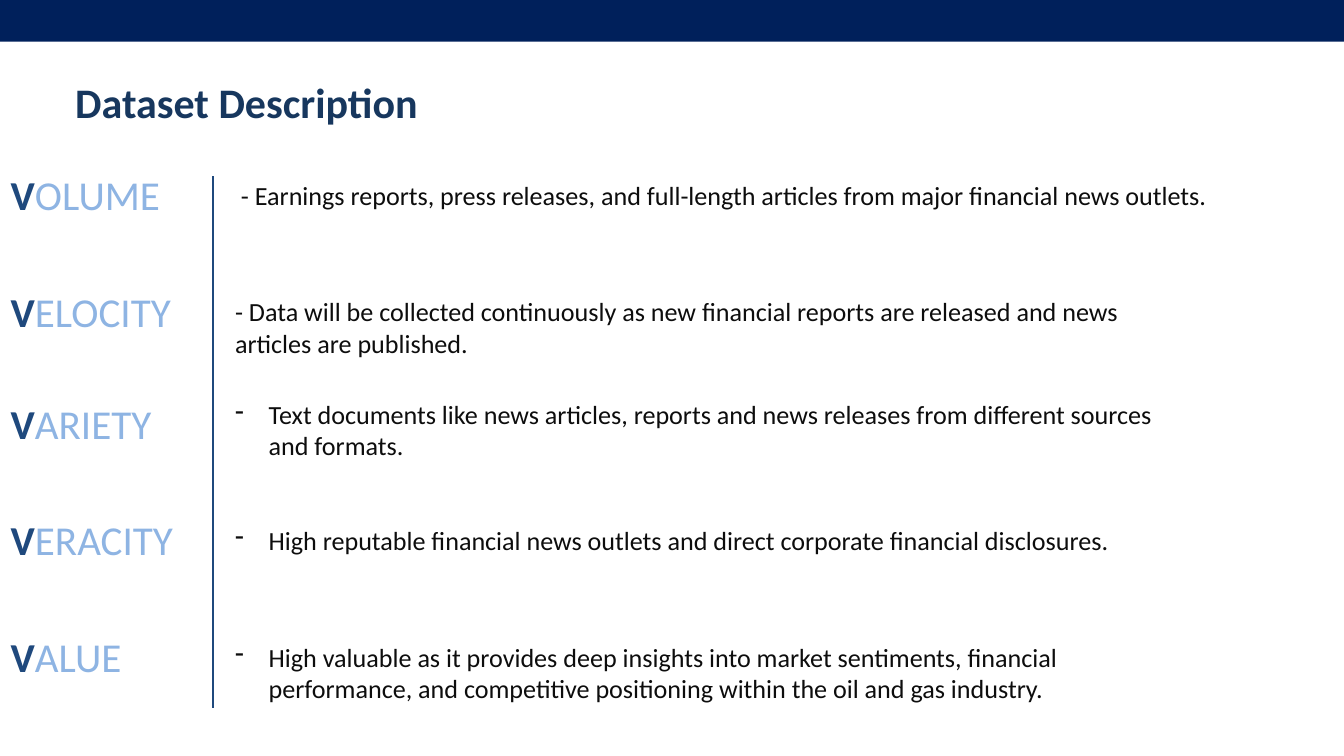
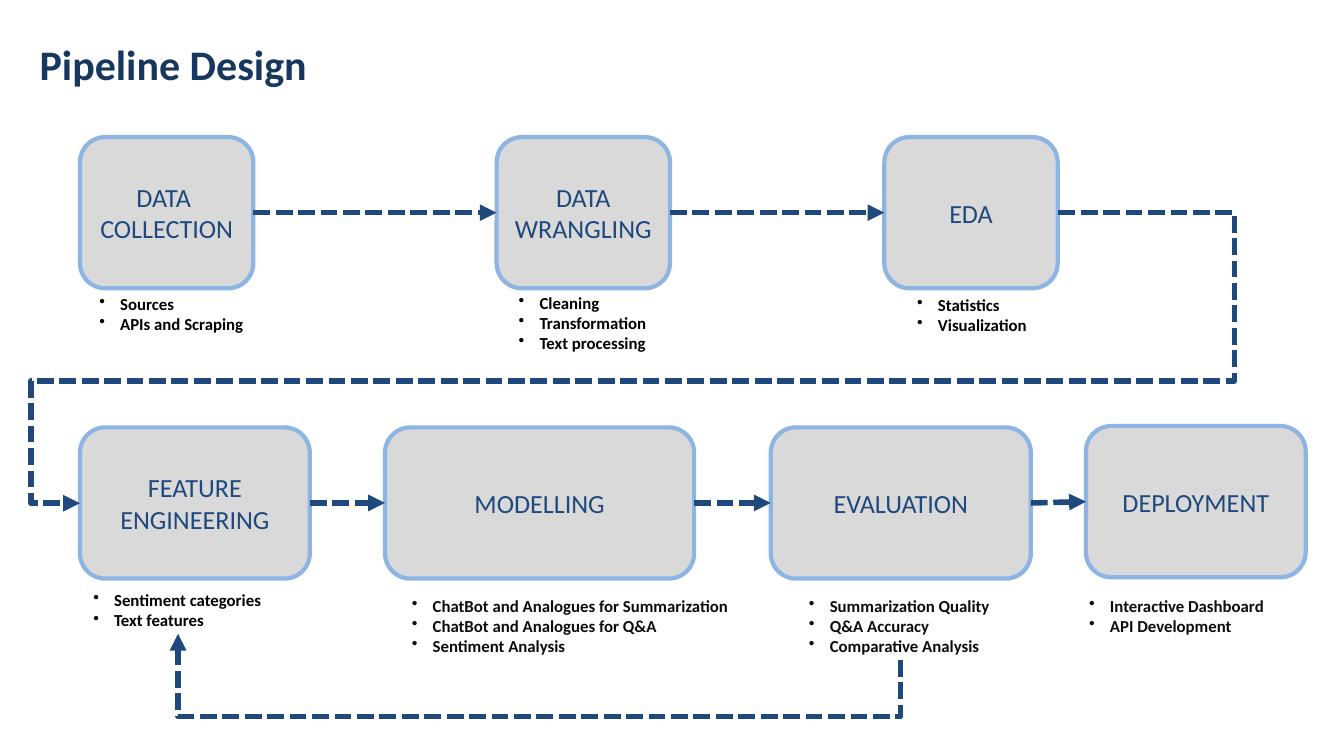
from lxml import etree
from pptx import Presentation
from pptx.dml.color import RGBColor
from pptx.enum.dml import MSO_LINE
from pptx.enum.shapes import MSO_CONNECTOR, MSO_SHAPE
from pptx.enum.text import MSO_ANCHOR, MSO_AUTO_SIZE, PP_ALIGN
from pptx.oxml.ns import qn
from pptx.util import Inches, Pt

STRAIGHT, ELBOW = MSO_CONNECTOR.STRAIGHT, MSO_CONNECTOR.ELBOW
RECT, ROUND_RECT = MSO_SHAPE.RECTANGLE, MSO_SHAPE.ROUNDED_RECTANGLE
DASH = MSO_LINE.SQUARE_DOT
CENTER, MIDDLE, GROW = PP_ALIGN.CENTER, MSO_ANCHOR.MIDDLE, MSO_AUTO_SIZE.SHAPE_TO_FIT_TEXT
LEFT_SITE, RIGHT_SITE = 1, 3

BAND, TITLE, NAVY, SKY = "00205B", "17375E", "1F497D", "8EB4E3"
GREY, INK, BLACK = "D9D9D9", "0D0D0D", "000000"

TITLE_FONT = {"size": Pt(45), "bold": True}
INITIAL_FONT = {"size": Pt(44), "bold": True}
WORD_FONT = {"size": Pt(44), "bold": False}
BODY_FONT = {"size": Pt(28)}
NOTE_FONT = {"size": Pt(18), "bold": True}

ROWS = [
    ("VOLUME", 2.48, 2.45, 0.14, 15.14, 0.57, "",
     " - Earnings reports, press releases, and full-length articles from major financial news outlets."),
    ("VELOCITY", 4.21, 2.65, 0.14, 14.42, 1.04, "",
     "- Data will be collected continuously as new financial reports are released and news articles are published."),
    ("VARIETY", 5.88, 2.32, 0, 14.42, 1.04, "-",
     "Text documents like news articles, reports and news releases from different sources and formats."),
    ("VERACITY", 7.61, 2.64, 0.14, 14.42, 0.57, "-",
     "High reputable financial news outlets and direct corporate financial disclosures."),
    ("VALUE", 9.35, 1.87, 0.14, 14.42, 1.04, "-",
     "High valuable as it provides deep insights into market sentiments, financial performance, "
     "and competitive positioning within the oil and gas industry."),
]

TOP_STAGES = [
    ("DATA \nCOLLECTION", 1.19, 2.04, 2.58, (0.19, 2.28, 2.36), BLACK, ["Sources", "APIs and Scraping"]),
    ("DATA WRANGLING", 7.39, 2.04, 2.58, (0.23, 2.26, 2.12), BLACK,
     ["Cleaning", "Transformation", "Text processing"]),
    ("EDA", 13.16, 2.04, 2.58, (0.39, 2.29, 1.85), BLACK, ["Statistics", "Visualization"]),
]
BOTTOM_STAGES = [
    ("FEATURE ENGINEERING", 1.19, 6.36, 3.42, (0.1, 2.37, 2.72), BLACK,
     ["Sentiment categories", "Text features"]),
    ("MODELLING", 5.73, 6.36, 4.6, (0.3, 2.45, 5.01), INK,
     ["ChatBot and Analogues for Summarization", "ChatBot and Analogues for Q&A", "Sentiment Analysis"]),
    ("EVALUATION", 11.47, 6.36, 3.87, (0.47, 2.45, 2.92), INK,
     ["Summarization Quality", "Q&A Accuracy", "Comparative Analysis"]),
    ("DEPLOYMENT", 16.16, 6.34, 3.27, (-0.05, 2.47, 2.83), INK,
     ["Interactive Dashboard", "API Development"]),
]


def rgb(value):
    """Turn a hex string into a colour."""
    return RGBColor.from_string(value)


def add_run(p, text, color, fmt):
    """Append a run with the given format to a paragraph."""
    r = p.add_run()
    r.text = text
    r.font.name = "Calibri"
    r.font.color.rgb = rgb(color)
    for name, value in fmt.items():
        setattr(r.font, name, value)


def add_bullet(p, char, indent):
    """Give a paragraph a hanging bullet."""
    pPr = p._p.get_or_add_pPr()
    pPr.set("marL", str(Inches(indent)))
    pPr.set("indent", str(-Inches(indent)))
    etree.SubElement(pPr, qn("a:buChar")).set("char", char)


def add_box(s, x, y, w, h, wrap=True):
    """Add a text box that grows with its text and return its frame."""
    tf = s.shapes.add_textbox(Inches(x), Inches(y), Inches(w), Inches(h)).text_frame
    tf.word_wrap = wrap
    tf.auto_size = GROW
    return tf


def add_title(s, x, y, text):
    """Add the slide title."""
    tf = add_box(s, x, y, 11.23, 0.72)
    for side in ("left", "top", "right", "bottom"):
        setattr(tf, f"margin_{side}", 0)
    p = tf.paragraphs[0]
    p.line_spacing = Pt(52.2)
    add_run(p, text, TITLE, TITLE_FONT)


def add_line(s, kind, x1, y1, x2, y2, width):
    """Add a navy connector without a shadow."""
    c = s.shapes.add_connector(kind, Inches(x1), Inches(y1), Inches(x2), Inches(y2))
    c.line.color.rgb = rgb(NAVY)
    c.line.width = Pt(width)
    etree.SubElement(c._element.spPr, qn("a:effectLst"))
    return c


def add_arrow(s, kind, x1, y1, x2, y2):
    """Add a dashed connector with an arrowhead at its end."""
    c = add_line(s, kind, x1, y1, x2, y2, 6)
    c.line.dash_style = DASH
    etree.SubElement(c.line._get_or_add_ln(), qn("a:tailEnd")).set("type", "triangle")
    return c


def bend(c, preset, adjustments, rotation=0):
    """Set the route of an elbow connector."""
    spPr = c._element.spPr
    spPr.find(qn("a:xfrm")).set("rot", str(rotation * 60000))
    geom = spPr.find(qn("a:prstGeom"))
    geom.set("prst", preset)
    guides = geom.find(qn("a:avLst"))
    if guides is None:
        guides = etree.SubElement(geom, qn("a:avLst"))
    for i, value in enumerate(adjustments, 1):
        gd = etree.SubElement(guides, qn("a:gd"))
        gd.set("name", f"adj{i}")
        gd.set("fmla", f"val {round(value * 100000)}")


def add_row(s, x, y, word, word_w, drop, text_w, text_h, bullet, text):
    """Add one V word and its description."""
    p = add_box(s, x, y, word_w, 0.84, wrap=False).paragraphs[0]
    add_run(p, word[0], NAVY, INITIAL_FONT)
    add_run(p, word[1:], SKY, WORD_FONT)
    p = add_box(s, x + 3.34, y + drop, text_w, text_h).paragraphs[0]
    if bullet:
        add_bullet(p, bullet, 0.5)
    add_run(p, text, INK, BODY_FONT)


def add_stage(s, x, y, w, name, notes_at, color, notes):
    """Add one pipeline stage with its notes below."""
    sp = s.shapes.add_shape(ROUND_RECT, Inches(x), Inches(y), Inches(w), Inches(2.25))
    sp.shadow.inherit = False
    sp.fill.solid()
    sp.fill.fore_color.rgb = rgb(GREY)
    sp.line.color.rgb = rgb(SKY)
    sp.line.width = Pt(4.5)
    tf = sp.text_frame
    tf.word_wrap = True
    tf.vertical_anchor = MIDDLE
    for i, line in enumerate(name.split("\n")):
        p = tf.add_paragraph() if i else tf.paragraphs[0]
        p.alignment = CENTER
        add_run(p, line, NAVY, BODY_FONT)
    dx, dy, notes_w = notes_at
    tf = add_box(s, x + dx, y + dy, notes_w, 0.1 + 0.3 * len(notes), wrap=False)
    for i, note in enumerate(notes):
        p = tf.add_paragraph() if i else tf.paragraphs[0]
        add_bullet(p, "•", 0.31)
        add_run(p, note, color, NOTE_FONT)
    return sp


def add_stage_row(s, stages):
    """Add a row of stages joined by arrows."""
    shapes = [add_stage(s, x, y, w, name, *rest) for name, x, y, w, *rest in stages]
    for left, right in zip(shapes, shapes[1:]):
        c = add_arrow(s, STRAIGHT, 0, 0, 1, 1)
        c.begin_connect(left, RIGHT_SITE)
        c.end_connect(right, LEFT_SITE)


def dataset_slide(prs):
    """Build the dataset description."""
    s = prs.slides.add_slide(prs.slide_layouts[6])
    band = s.shapes.add_shape(RECT, 0, 0, prs.slide_width, Inches(0.62))
    band.shadow.inherit = False
    band.fill.solid()
    band.fill.fore_color.rgb = rgb(BAND)
    band.line.fill.background()
    add_title(s, 1.12, 1.16, "Dataset Description")
    for word, y, *rest in ROWS:
        add_row(s, 0.06, y, word, *rest)
    add_line(s, STRAIGHT, 3.17, 2.62, 3.17, 10.53, 2.25)


def pipeline_slide(prs):
    """Build the pipeline diagram."""
    s = prs.slides.add_slide(prs.slide_layouts[6])
    add_title(s, 0.59, 0.6, "Pipeline Design")
    add_stage_row(s, TOP_STAGES)
    add_stage_row(s, BOTTOM_STAGES)
    to_next_row = add_arrow(s, ELBOW, 15.75, 3.16, 1.19, 7.49)
    bend(to_next_row, "bentConnector5", [-0.18, 0.58, 1.05])
    feedback = add_arrow(s, ELBOW, 8.22, 4.25, 7.83, 15)
    bend(feedback, "bentConnector3", [-2.16], rotation=90)


def main():
    """Build and save the presentation."""
    prs = Presentation()
    prs.slide_width, prs.slide_height = Inches(20), Inches(11.25)
    dataset_slide(prs)
    pipeline_slide(prs)
    prs.save("out.pptx")


if __name__ == "__main__":
    main()
